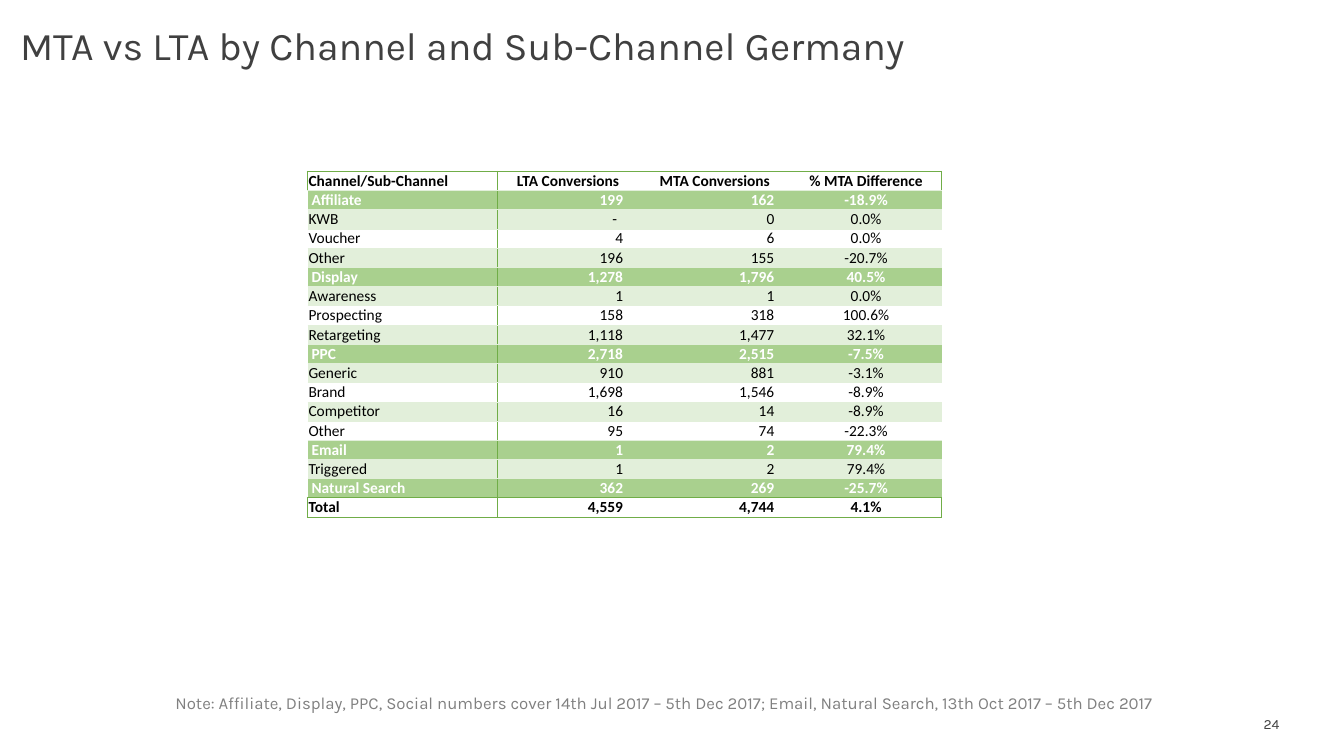
from lxml.etree import SubElement
from pptx import Presentation
from pptx.dml.color import RGBColor
from pptx.enum.text import MSO_ANCHOR, PP_ALIGN
from pptx.oxml.ns import qn
from pptx.util import Inches, Pt

# Content
TITLE = "MTA vs LTA by Channel and Sub-Channel Germany"
NOTE = ("Note: Affiliate, Display, PPC, Social numbers cover 14th Jul 2017 – 5th Dec 2017; "
        "Email, Natural Search, 13th Oct 2017 – 5th Dec 2017")
PAGE = "24"
HEADER = ("Channel/Sub-Channel", "LTA Conversions", "MTA Conversions", "% MTA Difference")
CHANNELS = [  # each channel row is followed by its sub-channels
    [("Affiliate", "199", "162", "-18.9%"),
     ("KWB", "-", "0", "0.0%"),
     ("Voucher", "4", "6", "0.0%"),
     ("Other", "196", "155", "-20.7%")],
    [("Display", "1,278", "1,796", "40.5%"),
     ("Awareness", "1", "1", "0.0%"),
     ("Prospecting", "158", "318", "100.6%"),
     ("Retargeting", "1,118", "1,477", "32.1%")],
    [("PPC", "2,718", "2,515", "-7.5%"),
     ("Generic", "910", "881", "-3.1%"),
     ("Brand", "1,698", "1,546", "-8.9%"),
     ("Competitor", "16", "14", "-8.9%"),
     ("Other", "95", "74", "-22.3%")],
    [("Email", "1", "2", "79.4%"),
     ("Triggered", "1", "2", "79.4%")],
    [("Natural Search", "362", "269", "-25.7%")],
]
TOTAL = ("Total", "4,559", "4,744", "4.1%")

# Style
GREEN, MID, LIGHT = "70AD47", "A9D08E", "E2EFDA"
WHITE, BLACK, DARK, GREY = "FFFFFF", "000000", "404040", "808080"
COL_WIDTHS = (1.88, 1.41, 1.5, 1.5)
TABLE_LEFT, TABLE_TOP, TABLE_HEIGHT = 3.05, 1.7, 3.43
NUMBER_MARGIN, DASH_MARGIN = 0.16, 0.22


def rgb(value):
    return RGBColor.from_string(value)


def add_run(p, text, font, size, color, bold=False):
    r = p.add_run()
    r.text = text
    r.font.name, r.font.size, r.font.bold = font, Pt(size), bold
    r.font.color.rgb = rgb(color)


def add_text(s, box, text, size, color, wrap=True):
    tf = s.shapes.add_textbox(*map(Inches, box)).text_frame
    tf.word_wrap = wrap
    add_run(tf.paragraphs[0], text, "Karla", size, color)
    return tf


def set_borders(cell, sides):
    tc_pr = cell._tc.get_or_add_tcPr()
    for i, side in enumerate("LRTB"):
        ln = SubElement(tc_pr, qn("a:ln" + side))
        if side in sides:
            color, width = sides[side]
            ln.set("w", str(Pt(width)))
            fill = SubElement(ln, qn("a:solidFill"))
            SubElement(fill, qn("a:srgbClr")).set("val", color)
        else:
            SubElement(ln, qn("a:noFill"))
        tc_pr.insert(i, ln)


# Rows as (kind, values); sub-channel bands restart under each channel
rows = [("header", HEADER)]
for channel, *subs in CHANNELS:
    rows.append(("channel", channel))
    rows += [("plain" if i % 2 else "band", sub) for i, sub in enumerate(subs)]
rows.append(("total", TOTAL))
FILLS = {"channel": MID, "band": LIGHT}
last_row, last_col = len(rows) - 1, len(HEADER) - 1

prs = Presentation()
prs.slide_width, prs.slide_height = Inches(13.33), Inches(7.5)
s = prs.slides.add_slide(prs.slide_layouts[6])

# Title, note and page number
tf = add_text(s, (0.1, 0, 9.42, 0.73), TITLE, 28, DARK)
tf.vertical_anchor = MSO_ANCHOR.BOTTOM
tf.paragraphs[0].line_spacing = 0.9
add_text(s, (1.64, 6.82, 10.25, 0.3), NOTE, 12, GREY, wrap=False)
tf = add_text(s, (12.23, 7.05, 0.52, 0.27), PAGE, 10, DARK)
tf.margin_right = Inches(0.06)
tf.paragraphs[0].alignment = PP_ALIGN.RIGHT

# Table
table = s.shapes.add_table(len(rows), len(HEADER), Inches(TABLE_LEFT), Inches(TABLE_TOP),
                           Inches(sum(COL_WIDTHS)), Inches(TABLE_HEIGHT)).table
table.first_row = table.horz_banding = False
for col, width in zip(table.columns, COL_WIDTHS):
    col.width = Inches(width)

for i, (kind, values) in enumerate(rows):
    table.rows[i].height = Inches(TABLE_HEIGHT / len(rows))
    framed = kind in ("header", "total")
    for j, text in enumerate(values):
        cell = table.cell(i, j)
        cell.vertical_anchor = MSO_ANCHOR.BOTTOM
        cell.margin_left = cell.margin_right = Inches(0.01)
        cell.margin_top = cell.margin_bottom = 0
        p = cell.text_frame.paragraphs[0]
        if j == 0:
            p.alignment = PP_ALIGN.LEFT
            if kind == "channel":
                cell.margin_left = Inches(0.04)
        elif j == last_col or kind == "header":
            p.alignment = PP_ALIGN.CENTER
        else:
            p.alignment = PP_ALIGN.RIGHT
            cell.margin_right = Inches(DASH_MARGIN if text == "-" else NUMBER_MARGIN)
        add_run(p, text, "Calibri", 11, WHITE if kind == "channel" else BLACK,
                framed or kind == "channel")

        if kind in FILLS:
            cell.fill.solid()
            cell.fill.fore_color.rgb = rgb(FILLS[kind])
        else:
            cell.fill.background()

        sides = {"T": (GREEN, 1) if framed else (LIGHT, 0.5),
                 "B": (GREEN, 1) if i >= last_row - 1 else (LIGHT, 0.5)}
        if j == 0:
            sides["R"] = (GREEN, 0.5)
        if j == 1:
            sides["L"] = (GREEN, 0.5)
        if framed and j == 0:
            sides["L"] = (GREEN, 1)
        if framed and j == last_col:
            sides["R"] = (GREEN, 1)
        set_borders(cell, sides)

prs.save("out.pptx")
